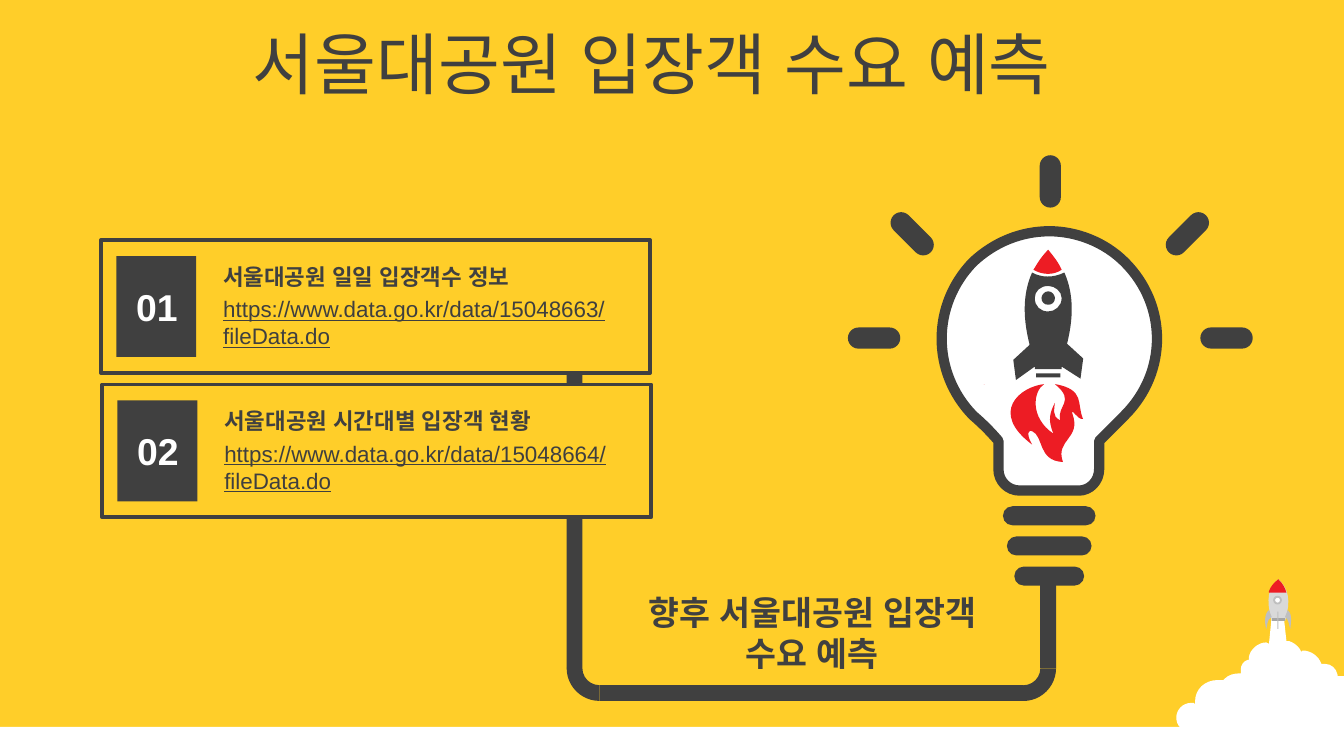
from lxml import etree
from pptx import Presentation
from pptx.dml.color import RGBColor
from pptx.enum.shapes import MSO_SHAPE
from pptx.enum.text import MSO_ANCHOR, PP_ALIGN
from pptx.oxml.ns import qn
from pptx.util import Cm, Pt

RECT, OVAL = MSO_SHAPE.RECTANGLE, MSO_SHAPE.OVAL
PILL, ARC = MSO_SHAPE.ROUNDED_RECTANGLE, MSO_SHAPE.BLOCK_ARC
LEFT, CENTER, RIGHT = PP_ALIGN.LEFT, PP_ALIGN.CENTER, PP_ALIGN.RIGHT
TOP, MIDDLE = MSO_ANCHOR.TOP, MSO_ANCHOR.MIDDLE

YELLOW = RGBColor(0xFF, 0xCE, 0x29)
DARK = RGBColor(0x40, 0x40, 0x40)
LINK = RGBColor(0x3F, 0x3F, 0x3F)
WHITE = RGBColor(0xFF, 0xFF, 0xFF)
RED = RGBColor(0xED, 0x1C, 0x24)
PALE = RGBColor(0xD9, 0xD9, 0xD9)
SILVER = RGBColor(0xBF, 0xBF, 0xBF)
GREY = RGBColor(0xA6, 0xA6, 0xA6)

FONT = "Arial"
UNIT = Cm(0.0254)  # outline coordinates are hundredths of an inch

# Outlines: M moves, L draws lines, C draws a Bezier curve
CLOUD = """M 71 28 L 80 28 82 46 84 46 C 87 47 90 49 92 52 L 93 54 94 53
C 100 53 106 57 108 63 L 108 63 109 63 C 109 63 110 63 111 63 C 115 63 119 66 120 71
L 120 72 123 72 125 72 125 129 123 129 C 119 129 115 128 112 126 L 111 125 110 126
C 108 127 106 128 103 128 C 100 128 98 126 96 124 L 94 123 94 124 C 92 127 89 128 85 128
C 82 128 79 127 77 125 L 76 124 74 125 C 70 128 65 130 59 130 C 48 130 42 125 38 120
C 36 122 32 123 29 122 C 25 121 19 119 18 114 L 18 112 17 113 C 16 114 14 114 11 114
C 5 114 0 109 0 103 C 0 97 5 92 11 92 C 12 92 13 92 13 92 L 14 93 14 91 C 14 82 21 75 31 75
C 32 75 33 75 34 75 L 35 75 36 74 C 39 71 43 70 48 70 L 48 70 48 68 C 48 68 48 68 48 67
C 48 64 50 61 53 60 L 54 60 54 58 C 55 52 61 47 67 47 L 69 48 71 28"""
SMALL_HULL = "M 71 31 C 69 22 65 9 76 0 C 87 10 83 23 81 31 L 71 31"
NOZZLE = "M 71 29 L 81 29 81 31 71 31"
SMALL_NOSE = "M 76 0 C 79 3 81 6 82 10 L 82 10 69 10 69 9 C 70 6 72 3 76 0"
SMALL_FINS = ("M 69 23 L 71 28 C 67 30 68 35 67 37 C 66 34 65 26 69 23",
              "M 83 23 L 81 28 C 84 30 84 35 85 37 C 85 34 87 26 83 23")
GLASS = """M 151 56 C 171 56 192 64 207 79 C 239 111 239 161 207 193 L 188 212 188 233
C 188 242 181 249 173 249 L 151 249 151 249 150 249 129 249 C 120 249 113 242 113 233
L 113 212 C 107 205 101 199 94 193 C 63 161 63 111 94 79 C 110 64 130 56 151 56"""
HULL = """M 17 92 L 35 92 C 35 93 35 94 35 95 L 17 95
M 26 31 C 29 31 31 34 31 36 C 31 39 29 41 26 41 C 23 41 21 39 21 36 C 21 34 23 31 26 31
M 26 27 C 20 27 16 31 16 36 C 16 42 20 46 26 46 C 31 46 36 42 36 36 C 36 31 31 27 26 27
M 14 17 C 21 21 30 21 38 17 C 46 35 44 54 40 70 L 52 81 50 96 36 87 36 89 16 89
C 16 88 16 88 16 87 L 2 97 0 82 12 71 12 71 12 70 C 8 54 6 35 14 17"""
NOSE = "M 26 0 C 30 5 34 10 36 15 C 30 19 22 19 15 15 C 18 10 21 5 26 0"
FLAME = """M 23 100 C 15 105 12 125 30 137 C 25 126 28 120 31 114 C 31 117 28 124 35 127
C 32 116 47 113 31 100 C 54 104 47 115 52 126 C 48 127 43 117 44 122
C 51 141 31 141 37 158 C 18 157 23 139 14 135 C 12 134 9 136 14 145
C -18 121 5 102 23 100 M -22 100 L -21 100 -22 100"""

CARDS = [
    ("01", "서울대공원 일일 입장객수 정보", "https://www.data.go.kr/data/15048663/fileData.do"),
    ("02", "서울대공원 시간대별 입장객 현황", "https://www.data.go.kr/data/15048664/fileData.do"),
]


def paint(shape, fill, line=None, weight=1):
    shape.shadow.inherit = False
    shape.fill.solid()
    shape.fill.fore_color.rgb = fill
    if line is None:
        shape.line.fill.background()
    else:
        shape.line.color.rgb = line
        shape.line.width = Pt(weight)
    return shape


def add_part(slide, kind, x, y, w, h, fill, line=None, weight=1):
    shape = slide.shapes.add_shape(kind, Cm(x), Cm(y), Cm(w), Cm(h))
    return paint(shape, fill, line, weight)


def add_pill(slide, center_x, center_y, w, h, angle=0):
    pill = add_part(slide, PILL, center_x - w / 2, center_y - h / 2, w, h, DARK)
    pill.adjustments[0] = 0.5
    pill.rotation = angle


def read_steps(x, y, outline):
    """Split an outline into (letter, points on the slide)."""
    steps = []
    for step in outline.replace("M", "|M").replace("L", "|L").replace("C", "|C").split("|")[1:]:
        numbers = [int(n) for n in step[1:].split()]
        steps.append((step[0], [(Cm(x) + px * UNIT, Cm(y) + py * UNIT)
                                for px, py in zip(numbers[::2], numbers[1::2])]))
    return steps


def trace(steps):
    """Points along the outline, which give its true bounds."""
    points = []
    for letter, ends in steps:
        if letter == "C":
            curve = [points[-1]] + ends
            for t in (0.25, 0.5, 0.75):
                weights = ((1 - t) ** 3, 3 * t * (1 - t) ** 2, 3 * t * t * (1 - t), t ** 3)
                points.append(tuple(sum(k * p[axis] for k, p in zip(weights, curve))
                                    for axis in (0, 1)))
            ends = ends[-1:]
        points += ends
    return points


def add_outline(slide, x, y, outline, fill, line=None, weight=1):
    steps = read_steps(x, y, outline)
    points = trace(steps)
    builder = slide.shapes.build_freeform(*points[0])
    builder.add_line_segments(points[1:])
    shape = builder.convert_to_shape()
    # Replace the traced points by real curves
    path = shape._element.find(".//" + qn("a:path"))
    for child in list(path):
        path.remove(child)
    for i, (letter, ends) in enumerate(steps):
        if letter == "M" and i:
            etree.SubElement(path, qn("a:close"))
        tag = {"M": "a:moveTo", "L": "a:lnTo", "C": "a:cubicBezTo"}[letter]
        size = 3 if letter == "C" else 1
        for start in range(0, len(ends), size):
            segment = etree.SubElement(path, qn(tag))
            for px, py in ends[start:start + size]:
                etree.SubElement(segment, qn("a:pt"), x=str(round(px - shape.left)),
                                 y=str(round(py - shape.top)))
    etree.SubElement(path, qn("a:close"))
    return paint(shape, fill, line, weight)


def add_text(slide, x, y, w, h, text, size, color=DARK, bold=False, underline=False,
             align=LEFT, anchor=TOP, wrap=True):
    frame = slide.shapes.add_textbox(Cm(x), Cm(y), Cm(w), Cm(h)).text_frame
    frame.word_wrap = wrap
    frame.vertical_anchor = anchor
    paragraph = frame.paragraphs[0]
    paragraph.text = text
    paragraph.alignment = align
    font = paragraph.font
    font.name, font.size, font.color.rgb = FONT, Pt(size), color
    font.bold, font.underline = bold, underline
    # Same typeface for Korean text and its spaces
    defaults = paragraph._p.find(".//" + qn("a:defRPr"))
    for script in ("a:ea", "a:cs"):
        etree.SubElement(defaults, qn(script), typeface=FONT)


def add_launch(slide, x, y):
    """Small rocket rising from a cloud."""
    for outline, color in ((CLOUD, WHITE), (SMALL_HULL, PALE), (NOZZLE, GREY), (SMALL_NOSE, RED)):
        add_outline(slide, x, y, outline, color)
    add_part(slide, OVAL, x + 1.85, y + 0.33, 0.13, 0.13, WHITE, SILVER)
    add_part(slide, RECT, x + 1.91, y + 0.61, 0.02, 0.33, SILVER)
    for fin in SMALL_FINS:
        add_outline(slide, x, y, fin, SILVER)


def add_cord(slide, x, y, w, h):
    """Cord from the cards to the bulb, with two rounded corners."""
    thick, bend = 0.3, 1.24
    straight = h - bend / 2
    add_part(slide, RECT, x, y, thick, straight, DARK)
    add_part(slide, RECT, x + bend / 2, y + h - thick, w - bend, thick, DARK)
    add_part(slide, RECT, x + w - thick, y + straight - 1.6, thick, 1.6, DARK)
    for left, angle in ((x, 0), (x + w - bend, 270)):
        corner = add_part(slide, ARC, left, y + h - bend, bend, bend, DARK)
        for i, value in enumerate((54.32, 108.17, 0.24)):
            corner.adjustments[i] = value
        corner.rotation = angle


def add_card(slide, x, y, w, h, number, title, link):
    add_part(slide, RECT, x, y, w, h, YELLOW, DARK, 2)
    add_part(slide, RECT, x + 0.29, y + 0.3, 1.51, h - 0.6, DARK)
    add_text(slide, x + 2.06, y + 0.92, 8, 1.8, link, 12, LINK, underline=True)
    add_text(slide, x + 2.06, y + 0.31, 8, 0.76, title, 12, bold=True)
    add_text(slide, x + 0.4, y + 0.7, 1.3, 1.12, number, 20, WHITE, bold=True,
             align=RIGHT, wrap=False)


def add_bulb(slide, x, y):
    add_outline(slide, x, y, GLASS, WHITE, DARK, 5.5)
    # Screw base
    for i, width in enumerate((1.75, 1.6, 1.32)):
        add_pill(slide, x + 3.83, y + 6.8 + 0.57 * i, width, 0.36)
    # Rays
    for dx, dy, angle in ((-3.33, 3.44, 270), (-2.61, 1.47, 315), (0, 0.48, 0),
                          (2.59, 1.47, 45), (3.33, 3.44, 90)):
        add_pill(slide, x + 3.85 + dx, y + dy, 0.4, 0.99, angle)


def add_rocket(slide, x, y):
    for outline, color in ((HULL, DARK), (NOSE, RED), (FLAME, RED)):
        add_outline(slide, x, y, outline, color)


def main():
    deck = Presentation()
    deck.slide_width, deck.slide_height = Cm(25.4), Cm(14.29)
    slide = deck.slides.add_slide(deck.slide_layouts[6])
    slide.background.fill.solid()
    slide.background.fill.fore_color.rgb = YELLOW
    # Ground and launch
    add_part(slide, RECT, 0, 13.74, 25.4, 0.6, WHITE)
    add_launch(slide, 22.23, 10.95)
    add_text(slide, -0.38, 0.38, 25.4, 1.6, "서울대공원 입장객 수요 예측", 36,
             align=CENTER, anchor=MIDDLE)
    add_cord(slide, 10.71, 4.93, 9.25, 8.32)
    for i, card in enumerate(CARDS):
        add_card(slide, 1.91 + 0.02 * i, 4.54 + 2.73 * i, 10.38, 2.51, *card)
    add_bulb(slide, 16, 2.95)
    add_text(slide, 11.35, 11.07, 8, 1.8, "향후 서울대공원 입장객 수요 예측", 18,
             bold=True, align=CENTER)
    add_rocket(slide, 19.15, 4.72)
    deck.save("out.pptx")


if __name__ == "__main__":
    main()
